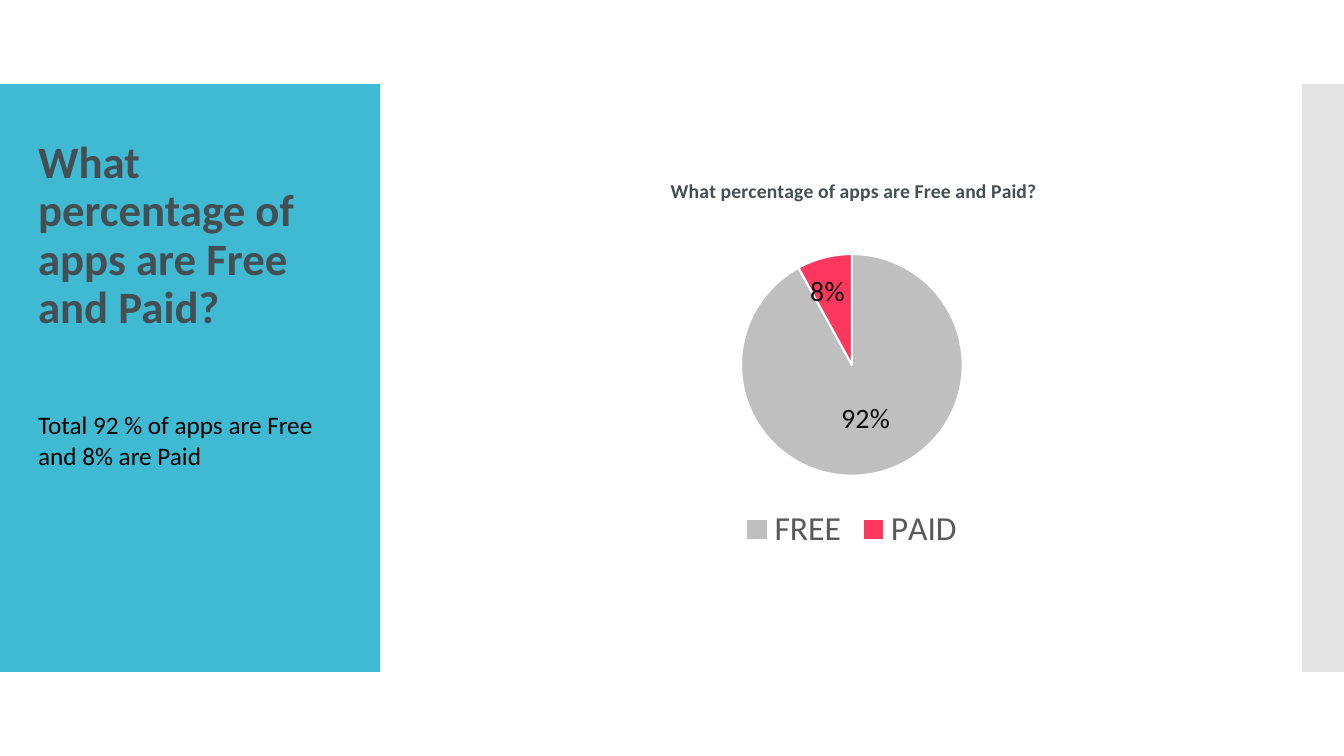
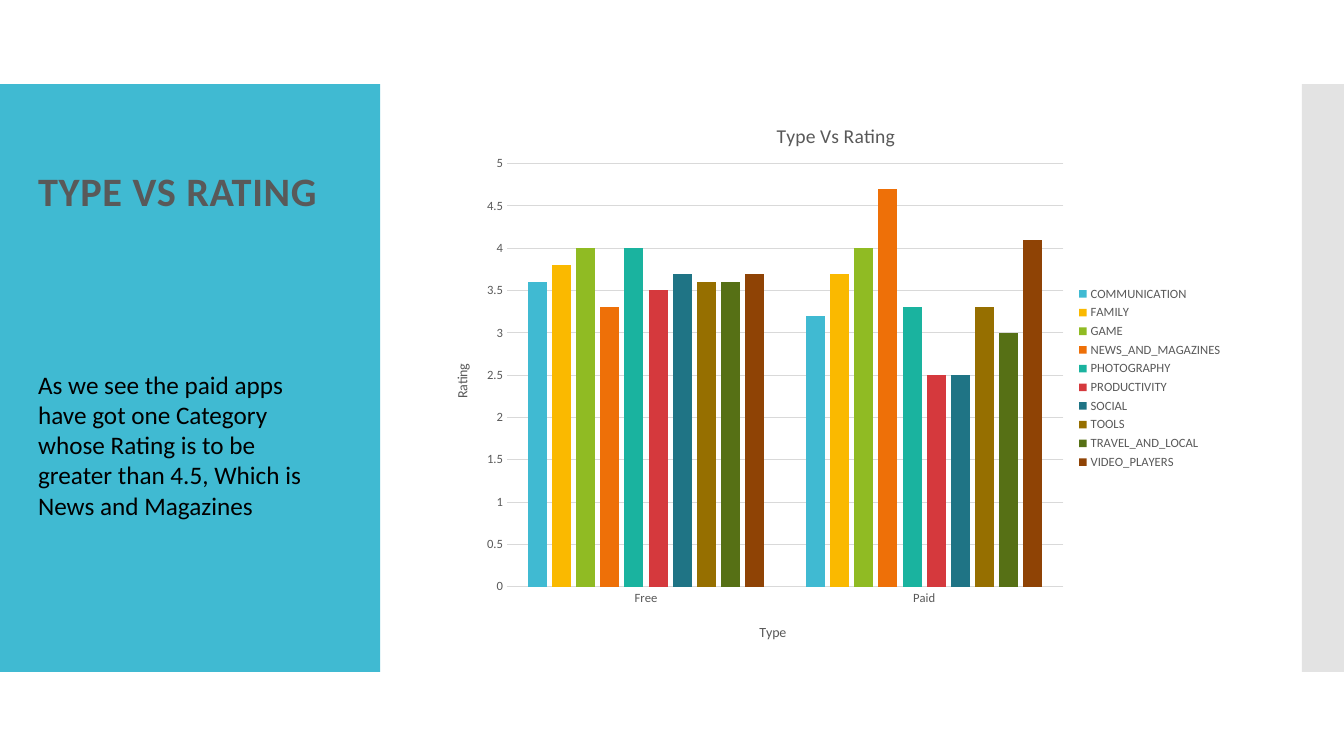
from lxml.etree import SubElement
from pptx import Presentation
from pptx.chart.data import CategoryChartData
from pptx.dml.color import RGBColor
from pptx.enum.chart import (XL_CHART_TYPE, XL_LABEL_POSITION,
                             XL_LEGEND_POSITION, XL_TICK_MARK)
from pptx.enum.shapes import MSO_SHAPE
from pptx.enum.text import MSO_ANCHOR, MSO_AUTO_SIZE, PP_ALIGN
from pptx.oxml import parse_xml
from pptx.oxml.ns import nsdecls, qn
from pptx.util import Pt

FONT = "Calibri"
BLACK = RGBColor(0x00, 0x00, 0x00)
WHITE = RGBColor(0xFF, 0xFF, 0xFF)
INK = RGBColor(0x0D, 0x0D, 0x0D)
SLATE = RGBColor(0x45, 0x4E, 0x52)
GRAY = RGBColor(0x59, 0x59, 0x59)
GRID_GRAY = RGBColor(0xD9, 0xD9, 0xD9)
BAND_GRAY = RGBColor(0xC8, 0xC8, 0xC8)
FREE_GRAY = RGBColor(0xBF, 0xBF, 0xBF)
PAID_PINK = RGBColor(0xFE, 0x37, 0x5F)
TEAL = RGBColor(0x40, 0xBA, 0xD2)

# Category: (free rating, paid rating, colour)
RATINGS = {
    "COMMUNICATION": (3.6, 3.2, TEAL),
    "FAMILY": (3.8, 3.7, RGBColor(0xFA, 0xB9, 0x00)),
    "GAME": (4, 4, RGBColor(0x90, 0xBB, 0x23)),
    "NEWS_AND_MAGAZINES": (3.3, 4.7, RGBColor(0xEE, 0x70, 0x08)),
    "PHOTOGRAPHY": (4, 3.3, RGBColor(0x1A, 0xB3, 0x9F)),
    "PRODUCTIVITY": (3.5, 2.5, RGBColor(0xD5, 0x39, 0x3D)),
    "SOCIAL": (3.7, 2.5, RGBColor(0x1F, 0x74, 0x85)),
    "TOOLS": (3.6, 3.3, RGBColor(0x96, 0x6F, 0x00)),
    "TRAVEL_AND_LOCAL": (3.6, 3, RGBColor(0x56, 0x70, 0x15)),
    "VIDEO_PLAYERS": (3.7, 4.1, RGBColor(0x8F, 0x43, 0x05)),
}


def style_font(font, size, color, bold=False):
    font.name = FONT
    font.size = Pt(size)
    font.bold = bold
    font.color.rgb = color


def set_layout(element, index, x, y, size=None):
    """Give a chart part a manual layout, in fractions of the chart."""
    for layout in element.findall(qn("c:layout")):
        element.remove(layout)
    fields = [("xMode", "edge"), ("yMode", "edge"), ("x", x), ("y", y)]
    if size:
        fields = [("layoutTarget", "inner"), *fields, ("w", size[0]), ("h", size[1])]
    body = "".join(f'<c:{name} val="{value}"/>' for name, value in fields)
    element.insert(index, parse_xml(
        f'<c:layout {nsdecls("c")}><c:manualLayout>{body}</c:manualLayout></c:layout>'))


class Deck:
    """Holds the shared style and the slide being built."""

    text_left = 20
    text_width = 223

    def __init__(self):
        self.presentation = Presentation()
        self.presentation.slide_width = Pt(960)
        self.presentation.slide_height = Pt(540)
        self.layout = self.presentation.slide_layouts[1]
        self.slide = None

    def new_slide(self):
        self.slide = self.presentation.slides.add_slide(self.layout)
        if len(self.presentation.slides) == 1:
            self.layout_band(0, 271.5, TEAL, 20)
            self.layout_band(930, 30, BAND_GRAY, 21, opacity=50)

    def layout_band(self, left, width, color, shape_id, opacity=100):
        """Draw a full-height band and move it to the shared layout."""
        band = self.slide.shapes.add_shape(
            MSO_SHAPE.RECTANGLE, Pt(left), Pt(60), Pt(width), Pt(420))
        band.shadow.inherit = False
        band.line.fill.background()
        band.fill.solid()
        band.fill.fore_color.rgb = color
        if opacity < 100:
            color_element = band.element.xpath("./p:spPr/a:solidFill/a:srgbClr")[0]
            SubElement(color_element, qn("a:alpha")).set("val", str(opacity * 1000))
        band.element.nvSpPr.cNvPr.set("id", str(shape_id))
        self.layout.element.cSld.spTree.insert(2, band.element)

    def fill_placeholder(self, shape, text, top, height, size, color, bold=False):
        shape.left, shape.top = Pt(self.text_left), Pt(top)
        shape.width, shape.height = Pt(self.text_width), Pt(height)
        frame = shape.text_frame
        frame.text = text
        frame.word_wrap = True
        frame.auto_size = MSO_AUTO_SIZE.NONE
        paragraph = frame.paragraphs[0]
        paragraph.alignment = PP_ALIGN.LEFT
        style_font(paragraph.runs[0].font, size, color, bold)
        return frame, paragraph

    def title(self, text, top, height, size, color, tracking=0):
        shape = self.slide.shapes.title
        frame, paragraph = self.fill_placeholder(
            shape, text, top, height, size, color, bold=True)
        frame.vertical_anchor = MSO_ANCHOR.BOTTOM
        frame.margin_bottom = Pt(round(3.6 + 1.1 * size, 1))  # one line of air below
        paragraph.line_spacing = 0.9
        if tracking:
            shape.element.xpath(".//a:rPr")[0].set("spc", str(tracking))

    def body(self, text, top, height):
        frame, paragraph = self.fill_placeholder(
            self.slide.placeholders[1], text, top, height, 18, BLACK)
        frame.vertical_anchor = MSO_ANCHOR.TOP
        paragraph.space_before = Pt(0)
        properties = paragraph._p.get_or_add_pPr()
        properties.set("marL", "0")
        properties.set("indent", "0")
        SubElement(properties, qn("a:buNone"))

    def chart(self, kind, data, box, plot_box, legend_position, legend_size):
        chart = self.slide.shapes.add_chart(kind, *map(Pt, box), data).chart
        style_font(chart.font, 10, BLACK)
        chart.has_legend = True
        chart.legend.position = legend_position
        chart.legend.include_in_layout = False
        style_font(chart.legend.font, legend_size, GRAY)
        x, y, *size = plot_box
        set_layout(chart.element.xpath(".//c:plotArea")[0], 0, x, y, size)
        return chart

    def chart_text(self, title, text, x, y, size, color=GRAY, bold=False):
        """Write a chart title or axis title at a fixed place."""
        title.text_frame.text = text
        style_font(title.text_frame.paragraphs[0].runs[0].font, size, color, bold)
        set_layout(title.element, 1, x, y)

    def pie_chart(self, title):
        data = CategoryChartData(number_format="General")
        data.categories = ["FREE", "PAID"]
        data.add_series("Series 1", (92, 8))
        chart = self.chart(XL_CHART_TYPE.PIE, data, (420, 109.5, 377, 288),
                           (0.29, 0.25, 0.42, 0.55), XL_LEGEND_POSITION.BOTTOM, 24)
        chart.has_title = True
        self.chart_text(chart.chart_title, title, 0.15, 0.05, 14, SLATE, bold=True)
        plot = chart.plots[0]
        plot.vary_by_categories = True
        series = plot.series[0]
        for index, color in enumerate((FREE_GRAY, PAID_PINK)):
            slice_format = series.points[index].format
            slice_format.fill.solid()
            slice_format.fill.fore_color.rgb = color
            slice_format.line.color.rgb = WHITE
            slice_format.line.width = Pt(1.5)
        labels = series.data_labels
        labels.show_percentage = True
        labels.show_value = False
        labels.number_format = "0%"
        labels.number_format_is_linked = False
        labels.position = XL_LABEL_POSITION.CENTER
        style_font(labels.font, 20, INK)
        self.shift_paid_label(chart, series.points[1].data_label)

    def shift_paid_label(self, chart, label):
        """Move the small slice's label outward, towards the rim."""
        style_font(label.font, 20, INK)
        label.position = XL_LABEL_POSITION.CENTER
        element = chart.element.xpath(".//c:dLbl")[0]
        element.find(qn("c:showVal")).set("val", "0")
        element.find(qn("c:showPercent")).set("val", "1")
        set_layout(element, 1, -0.02, -0.05)
        for mode in element.xpath(".//c:xMode | .//c:yMode"):
            mode.set("val", "factor")

    def rating_chart(self, title):
        data = CategoryChartData(number_format="General")
        data.categories = ["Free", "Paid"]
        for name, (free, paid, _) in RATINGS.items():
            data.add_series(name, (free, paid))
        chart = self.chart(XL_CHART_TYPE.COLUMN_CLUSTERED, data, (304.5, 68.5, 576, 403),
                           (0.1, 0.12, 0.69, 0.75), XL_LEGEND_POSITION.RIGHT, 9)
        chart.has_title = True
        self.chart_text(chart.chart_title, title, 0.43, 0.04, 14)
        plot = chart.plots[0]
        plot.vary_by_categories = False
        plot.gap_width = 219
        plot.overlap = -27
        for series, (_, _, color) in zip(plot.series, RATINGS.values()):
            series.format.fill.solid()
            series.format.fill.fore_color.rgb = color
        self.rating_axes(chart)

    def rating_axes(self, chart):
        category_axis, value_axis = chart.category_axis, chart.value_axis
        for axis, text, x, y in ((category_axis, "Type", 0.41, 0.93),
                                 (value_axis, "Rating", 0.03, 0.47)):
            axis.major_tick_mark = axis.minor_tick_mark = XL_TICK_MARK.NONE
            style_font(axis.tick_labels.font, 9, GRAY)
            self.chart_text(axis.axis_title, text, x, y, 10)
        value_axis.axis_title.element.xpath(".//a:bodyPr")[0].set("rot", "-5400000")
        value_axis.minimum_scale, value_axis.maximum_scale = 0, 5
        value_axis.major_unit = 0.5
        value_axis.format.line.fill.background()
        value_axis.has_major_gridlines = True
        for line in (category_axis.format.line, value_axis.major_gridlines.format.line):
            line.color.rgb = GRID_GRAY
            line.width = Pt(0.75)


def main():
    deck = Deck()

    question = "What percentage of apps are Free and Paid?"
    deck.new_slide()
    deck.title(question, 90, 187, 32, SLATE)
    deck.pie_chart(question)
    deck.body("Total 92 % of apps are Free and 8% are Paid", 289, 51)

    deck.new_slide()
    deck.title("TYPE VS RATING", 94.5, 94.5, 28.8, GRAY, tracking=50)
    deck.body("As we see the paid apps have got one Category whose Rating is to be "
              "greater than 4.5, Which is News and Magazines", 260, 183)
    deck.rating_chart("Type Vs Rating")

    deck.presentation.save("out.pptx")


if __name__ == "__main__":
    main()
